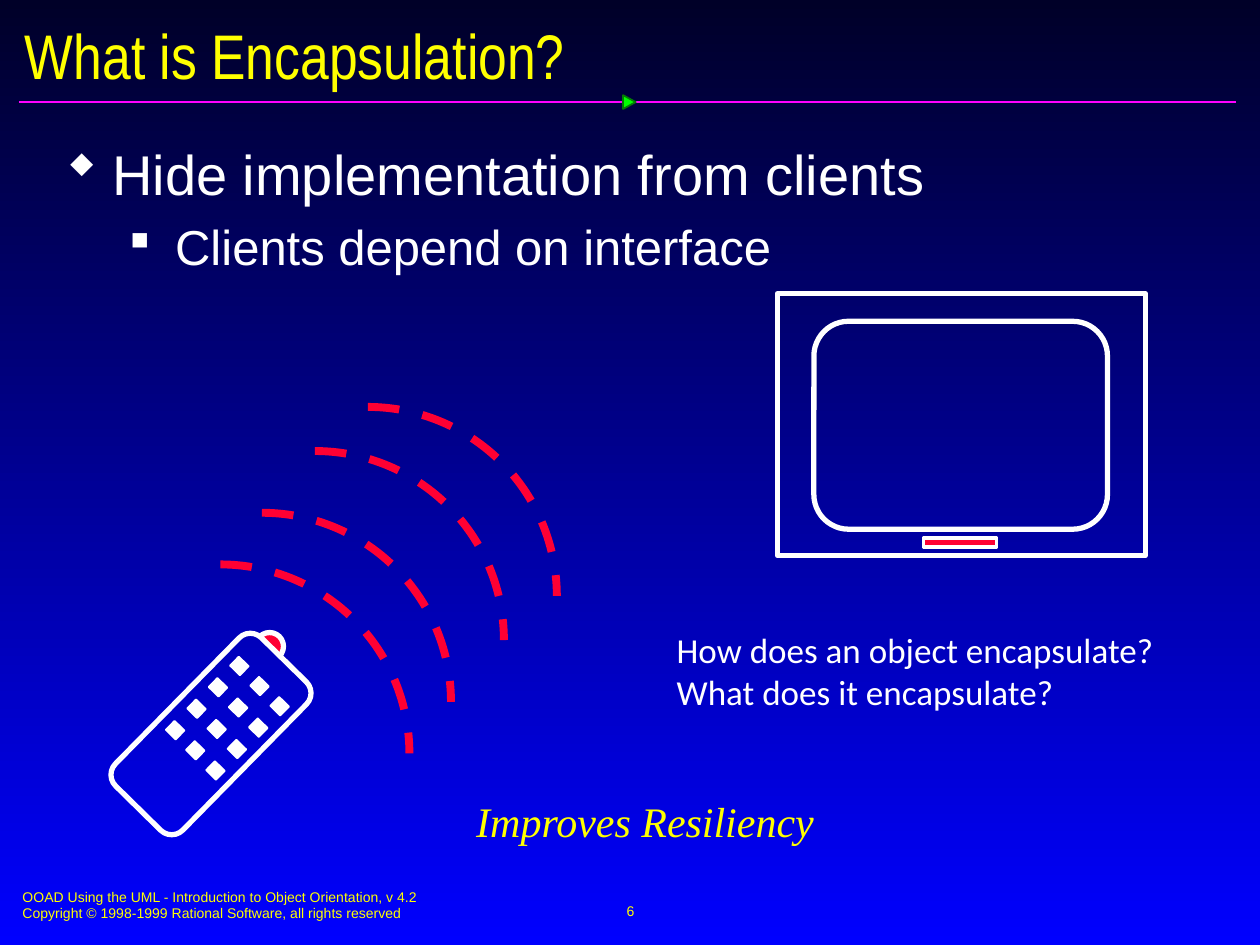
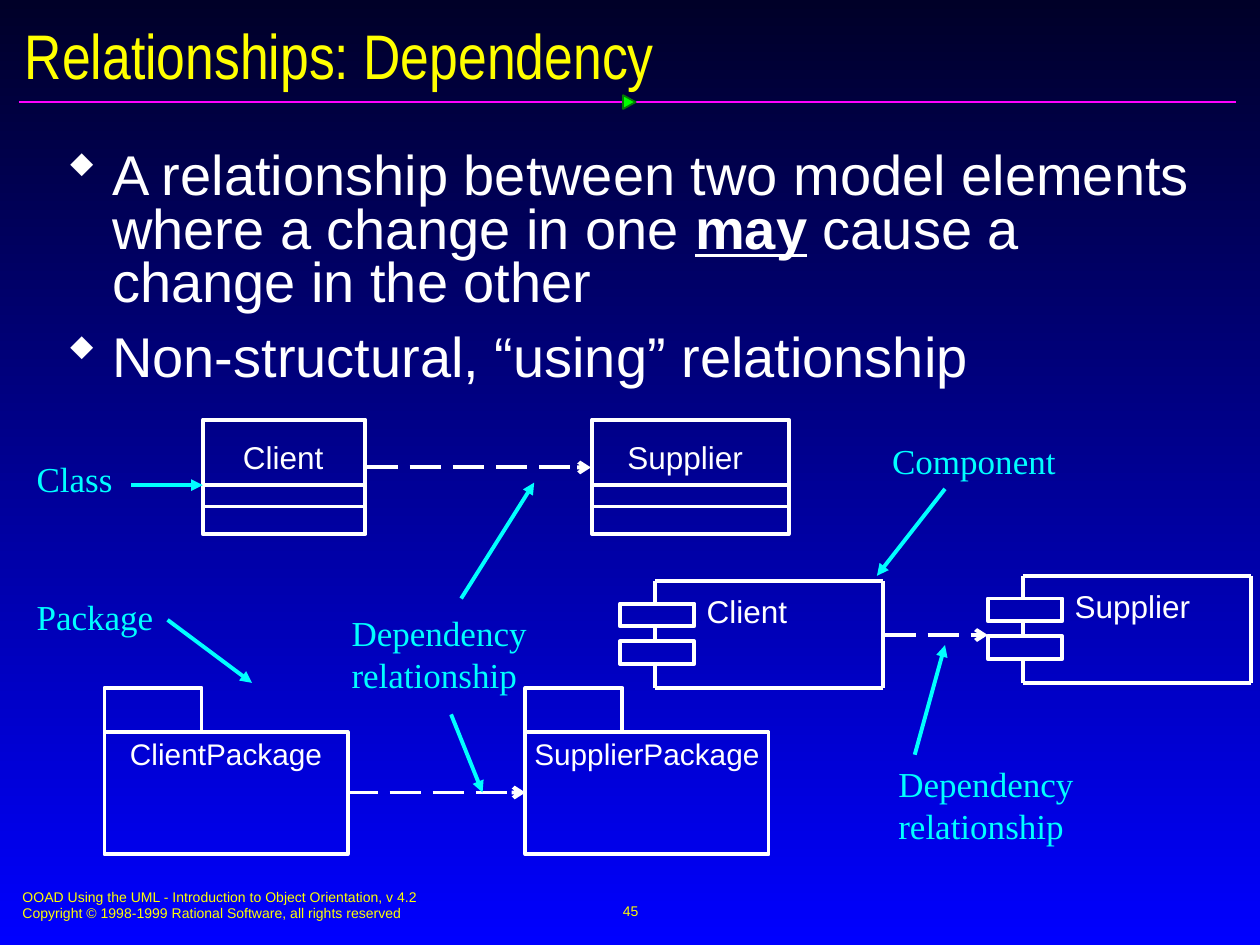
import math

import pptx
import pptx.dml.color
import pptx.enum.dml
import pptx.enum.shapes
import pptx.enum.text
import pptx.oxml
import pptx.oxml.ns
import pptx.util

RGBColor = pptx.dml.color.RGBColor
SHAPE = pptx.enum.shapes.MSO_SHAPE
DASH = pptx.enum.dml.MSO_LINE
ALIGN = pptx.enum.text.PP_ALIGN
ANCHOR = pptx.enum.text.MSO_ANCHOR
Inches = pptx.util.Inches
Pt = pptx.util.Pt

WIDTH, HEIGHT = 10, 7.5
NAVY = RGBColor(0x00, 0x00, 0x28)
BLUE = RGBColor(0x00, 0x00, 0xFF)
WHITE = RGBColor(0xFF, 0xFF, 0xFF)
YELLOW = RGBColor(0xFF, 0xFF, 0x00)
CYAN = RGBColor(0x00, 0xFF, 0xFF)
RED = RGBColor(0xFF, 0x00, 0x33)
MAGENTA = RGBColor(0xFF, 0x01, 0xFF)
GREEN = RGBColor(0x00, 0xFF, 0x00)
DARK_GREEN = RGBColor(0x03, 0x7C, 0x03)
SANS, SERIF = "Arial", "Times New Roman"
UML_LINE = 2.25

FOOTER = [
    "OOAD Using the UML - Introduction to Object Orientation, v 4.2",
    "Copyright © 1998-1999 Rational Software, all rights reserved",
]
# In the symbol font, w is a diamond and § a small square.
BULLET_FONT = "Wingdings"
# level: bullet, indent, line spacing, space before, size
BULLET_LEVELS = [("w", 0.37, 0.8, 12, 32), ("§", 0.87, 0.87, 10.5, 28)]
HANGING = 0.37

ENCAPSULATION = {
    "title": "What is Encapsulation?",
    "number": "6",
    "bullets": [
        (0, ["Hide implementation from clients"]),
        (1, ["Clients depend on interface"]),
    ],
}
QUESTIONS = ["How does an object encapsulate?", "What does it encapsulate?"]
SIGNAL_CORNERS = [(0.25, 4.48), (0.58, 4.07), (1, 3.58), (1.42, 3.23)]
REMOTE_TILT = 314.5
BUTTON_ROWS, BUTTON_COLUMNS = 4, 3

DEPENDENCY = {
    "title": "Relationships: Dependency",
    "number": "45",
    "bullets": [
        (0, ["A relationship between two model elements where a change in one ",
             "*may", " cause a change in the other"]),
        (0, ["Non-structural, “using” relationship"]),
    ],
}
# name, left, width, label left
CLASSES = [("Client", 1.61, 1.29, 1.83), ("Supplier", 4.7, 1.56, 4.88)]
PACKAGES = [("ClientPackage", 0.83), ("SupplierPackage", 4.17)]
COMPONENTS = [("Client", 4.92, 4.61), ("Supplier", 7.84, 4.57)]
DEPENDENCIES = [
    ((2.91, 3.71), (4.69, 3.71)),
    ((2.75, 6.29), (4.17, 6.29)),
    ((7.02, 5.04), (7.84, 5.04)),
]
# text, left, top, width, height
CALLOUTS = [
    ("Class", 0.17, 3.57, 1.25, 0.45),
    ("Package", 0.17, 4.67, 1.25, 0.45),
    ("Component", 6.96, 3.43, 1.62, 0.45),
    ("Dependency relationship", 2.67, 4.79, 1.83, 0.79),
    ("Dependency relationship", 7.01, 5.99, 1.83, 0.79),
]
POINTERS = [
    ((1.04, 3.85), (1.61, 3.85)),
    ((1.33, 4.92), (2, 5.42)),
    ((7.5, 3.88), (6.96, 4.57)),
    ((3.66, 4.75), (4.24, 3.83)),
    ((3.58, 5.67), (3.83, 6.29)),
    ((7.26, 5.99), (7.5, 5.12)),
]


def add_element(parent, tag, **attributes):
    element = pptx.oxml.parse_xml(f"<a:{tag} {pptx.oxml.ns.nsdecls('a')}/>")
    for name, value in attributes.items():
        element.set(name, value)
    parent.append(element)
    return element


def style_shape(shape, line, width, fill=None, rotation=0):
    shape.shadow.inherit = False
    shape.rotation = rotation
    shape.line.color.rgb = line
    shape.line.width = Pt(width)
    if fill is None:
        shape.fill.background()
    else:
        shape.fill.solid()
        shape.fill.fore_color.rgb = fill
    return shape


def add_shape(slide, kind, box, line, width, fill=None, rotation=0):
    shape = slide.shapes.add_shape(kind, *map(Inches, box))
    return style_shape(shape, line, width, fill, rotation)


def add_line(slide, start, end, color=WHITE, width=UML_LINE, head=None, dash=None):
    connector = slide.shapes.add_connector(
        pptx.enum.shapes.MSO_CONNECTOR.STRAIGHT, *map(Inches, (*start, *end)))
    connector.line.color.rgb = color
    connector.line.width = Pt(width)
    if dash:
        connector.line.dash_style = dash
    if head:
        add_element(connector.line._get_or_add_ln(), "tailEnd", type=head)
    add_element(connector._element.spPr, "effectLst")


def add_run(paragraph, text, size, font, color):
    run = paragraph.add_run()
    run.text = text
    run.font.size = Pt(size)
    run.font.name = font
    run.font.color.rgb = color
    return run


def add_frame(slide, box, inset=(0.1, 0.05), wrap=True, anchor=ANCHOR.TOP):
    frame = slide.shapes.add_textbox(*map(Inches, box)).text_frame
    frame.word_wrap = wrap
    frame.vertical_anchor = anchor
    frame.margin_left = frame.margin_right = Inches(inset[0])
    frame.margin_top = frame.margin_bottom = Inches(inset[1])
    return frame


def paragraphs_for(frame, items):
    """Yield each item with its own paragraph, using the frame's first one first."""
    for index, item in enumerate(items):
        yield (frame.add_paragraph() if index else frame.paragraphs[0]), item


def add_text(slide, box, lines, size, font=SANS, color=WHITE, align=ALIGN.LEFT,
             italic=False, **frame_options):
    frame = add_frame(slide, box, **frame_options)
    for paragraph, line in paragraphs_for(frame, lines):
        paragraph.alignment = align
        add_run(paragraph, line, size, font, color).font.italic = italic


def add_bullets(slide, bullets):
    frame = add_frame(slide, (0.4, 1.15, 9.29, 5.52), inset=(0.12, 0.06))
    for paragraph, (level, pieces) in paragraphs_for(frame, bullets):
        bullet, indent, spacing, before, size = BULLET_LEVELS[level]
        properties = paragraph._p.get_or_add_pPr()
        properties.set("marL", str(Inches(indent)))
        properties.set("indent", str(-Inches(HANGING)))
        add_element(add_element(properties, "buClr"), "srgbClr", val=str(WHITE))
        add_element(properties, "buFont", typeface=BULLET_FONT, pitchFamily="2",
                    charset="2")
        add_element(properties, "buChar", char=bullet)
        paragraph.level = level
        paragraph.line_spacing = spacing
        if paragraph._p is not frame.paragraphs[0]._p:
            paragraph.space_before = Pt(before)
        for piece in pieces:
            run = add_run(paragraph, piece.lstrip("*"), size, SANS, WHITE)
            if piece.startswith("*"):
                run.font.bold = run.font.underline = True


def add_base_slide(presentation, content):
    """Add a slide with the shared background, title, rule, footer and bullets."""
    slide = presentation.slides.add_slide(presentation.slide_layouts[6])
    fill = slide.background.fill
    fill.gradient()
    fill.gradient_angle = 270
    for stop, color in zip(fill.gradient_stops, (NAVY, BLUE)):
        stop.color.rgb = color
    add_line(slide, (0.15, 0.81), (9.81, 0.81), MAGENTA, 1)
    add_shape(slide, SHAPE.ISOSCELES_TRIANGLE, (4.94, 0.76, 0.11, 0.1),
              DARK_GREEN, 1, GREEN, rotation=90)
    add_text(slide, (0.08, 7, 5.1, 0.37), FOOTER, 8, color=YELLOW)
    add_text(slide, (3.42, 6.98, 3.17, 0.5), [content["number"]], 8,
             color=YELLOW, align=ALIGN.CENTER, anchor=ANCHOR.MIDDLE)
    add_text(slide, (0.1, 0.14, 9.84, 0.58), [content["title"]], 36,
             "Arial Narrow", YELLOW, anchor=ANCHOR.MIDDLE)
    add_bullets(slide, content["bullets"])
    return slide


def add_television(slide):
    add_shape(slide, SHAPE.RECTANGLE, (6.17, 2.33, 2.92, 2.08), WHITE, 3)
    add_shape(slide, SHAPE.ROUNDED_RECTANGLE, (6.46, 2.55, 2.33, 1.65), WHITE, 3)
    add_shape(slide, SHAPE.RECTANGLE, (7.33, 4.27, 0.58, 0.07), WHITE, 2, RED)


def add_remote(slide):
    center_x, center_y, radius = 2.14, 5.13, 0.11
    rim = [(Inches(center_x + radius * math.cos(math.radians(angle))),
            Inches(center_y + radius * math.sin(math.radians(angle))))
           for angle in range(-135, 46, 15)]
    builder = slide.shapes.build_freeform(*rim[0])
    builder.add_line_segments(rim[1:], close=False)
    style_shape(builder.convert_to_shape(), WHITE, 3, RED)
    add_shape(slide, SHAPE.ROUNDED_RECTANGLE, (0.85, 5.45, 1.65, 0.75), WHITE, 3,
              rotation=REMOTE_TILT)
    for row in range(BUTTON_ROWS):
        for column in range(BUTTON_COLUMNS):
            left = 1.85 + 0.16 * column - 0.17 * row
            top = 5.23 + 0.16 * column + 0.17 * row
            add_shape(slide, SHAPE.RECTANGLE, (left, top, 0.1, 0.11), WHITE, 1,
                      WHITE, REMOTE_TILT)


def add_class(slide, name, left, width, label_left):
    add_shape(slide, SHAPE.RECTANGLE, (left, 3.33, width, 0.91), WHITE, UML_LINE)
    for y in (3.85, 4.02):
        add_line(slide, (left, y), (left + width, y))
    add_text(slide, (label_left, 3.43, width - 0.44, 0.4), [name], 18, wrap=False)


def add_package(slide, name, left):
    add_shape(slide, SHAPE.RECTANGLE, (left, 5.81, 1.93, 0.97), WHITE, UML_LINE)
    add_shape(slide, SHAPE.RECTANGLE, (left, 5.46, 0.77, 0.35), WHITE, UML_LINE)
    add_text(slide, (left, 5.84, 1.93, 0.28), [name], 17, align=ALIGN.CENTER,
             inset=(0, 0))


def add_component(slide, name, left, top):
    spine, right, bottom = left + 0.28, left + 2.09, top + 0.85
    lug_height, lug_tops = 0.18, (top + 0.18, top + 0.48)
    add_line(slide, (right, top), (right, bottom))
    for y in (top, bottom):
        add_line(slide, (right, y), (spine, y))
    gaps = [(top, lug_tops[0]), (lug_tops[0] + lug_height, lug_tops[1]),
            (lug_tops[1] + lug_height, bottom)]
    for start, end in gaps:
        add_line(slide, (spine, start), (spine, end))
    for y in lug_tops:
        add_shape(slide, SHAPE.RECTANGLE, (left, y, 0.59, lug_height), WHITE, UML_LINE)
    add_text(slide, (left + 0.59, top + 0.04, 1.4, 0.4), [name], 18)


def build_encapsulation(presentation):
    slide = add_base_slide(presentation, ENCAPSULATION)
    for corner in SIGNAL_CORNERS:
        arc = add_shape(slide, SHAPE.ARC, (*corner, 3, 3), RED, 4.5)
        arc.line.dash_style = DASH.DASH
    add_television(slide)
    add_remote(slide)
    add_text(slide, (2.83, 6.25, 4.58, 0.52), ["Improves Resiliency"], 24, SERIF,
             YELLOW, ALIGN.CENTER, italic=True, inset=(0.12, 0.06))
    add_text(slide, (5.25, 4.93, 4.58, 0.79), QUESTIONS, 20, "Calibri",
             inset=(0.12, 0.06))


def build_dependency(presentation):
    slide = add_base_slide(presentation, DEPENDENCY)
    for add_part, parts in ((add_class, CLASSES), (add_package, PACKAGES),
                            (add_component, COMPONENTS)):
        for part in parts:
            add_part(slide, *part)
    for start, end in DEPENDENCIES:
        add_line(slide, start, end, head="arrow", dash=DASH.LONG_DASH)
    for text, *box in CALLOUTS:
        add_text(slide, box, [text], 20, SERIF, CYAN, inset=(0.12, 0.06))
    for start, end in POINTERS:
        add_line(slide, start, end, CYAN, head="triangle")


def main():
    presentation = pptx.Presentation()
    presentation.slide_width = Inches(WIDTH)
    presentation.slide_height = Inches(HEIGHT)
    build_encapsulation(presentation)
    build_dependency(presentation)
    presentation.save("out.pptx")


if __name__ == "__main__":
    main()
